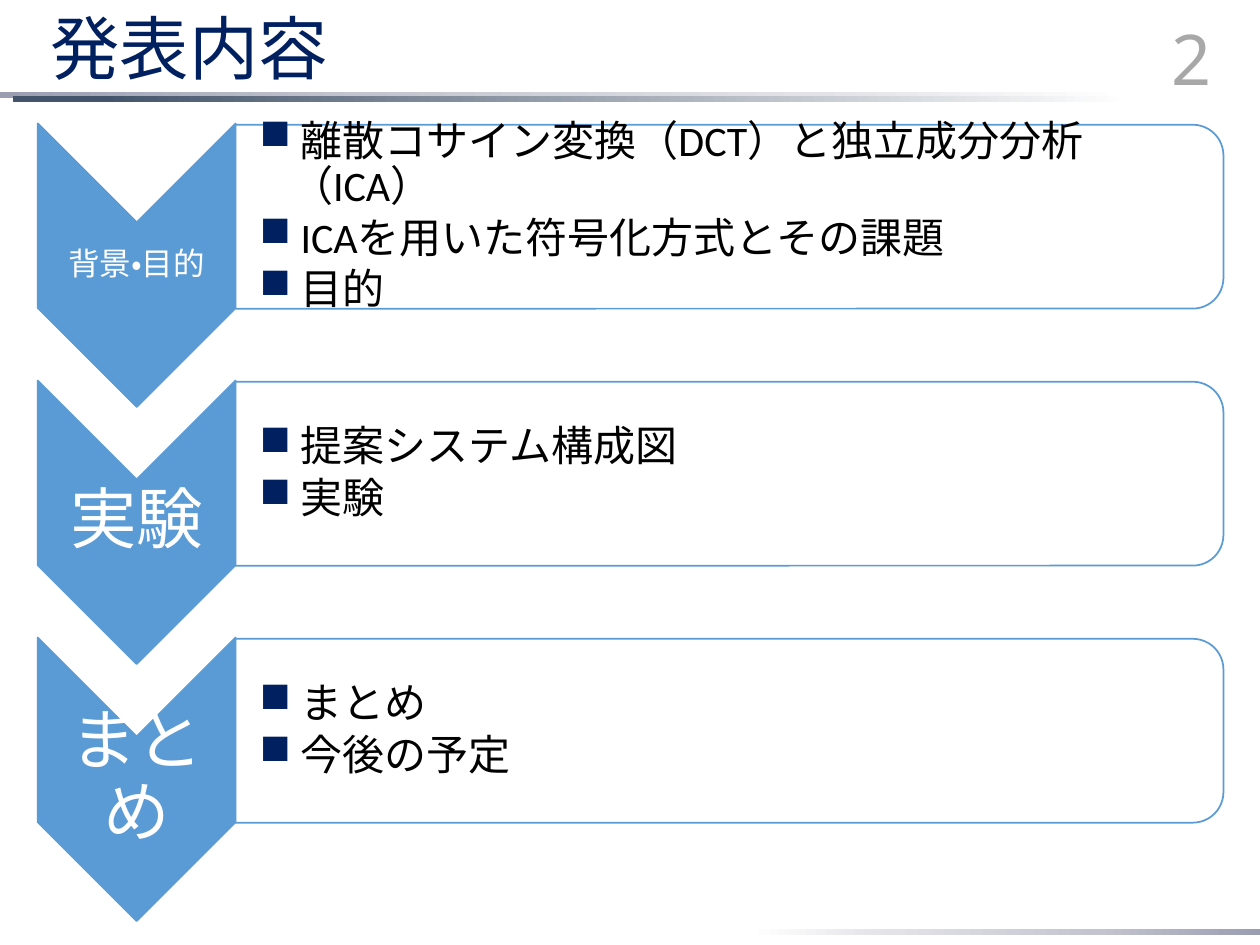
from dataclasses import dataclass

from pptx import Presentation
from pptx import util as u
from pptx.dml.color import RGBColor
from pptx.enum import lang, shapes, text
from pptx.oxml import parse_xml
from pptx.oxml.ns import nsdecls, qn

COLORS = {
    "navy": "002060", "blue": "5B9BD5", "white": "FFFFFF", "black": "000000",
    "gray": "8C8C8C", "slate": "44546A",
    "mist1": "9B9DB1", "mist2": "C3C4CF", "mist3": "E2E2E7",
}
MIST = [(0, "mist1"), (32, "mist2"), (72, "mist3"), (100, "white")]
SLATE = [(8, "slate"), (100, "white")]


@dataclass
class Bar:
    left: float
    top: float
    width: float
    stops: list
    rotation: int = 0


@dataclass
class Section:
    label: str
    size: float
    inset: float
    items: list


BARS = [
    Bar(5.95, 7.37, 4.05, MIST, 180),
    Bar(0, 0.73, 8.96, MIST),
    Bar(0.1, 0.76, 8.87, SLATE),
]
SECTIONS = [
    Section("背景・目的", 18, 0.01, [
        "離散コサイン変換（DCT）と独立成分分析（ICA）",
        "ICAを用いた符号化方式とその課題",
        "目的",
    ]),
    Section("実験", 38, 0.03, ["提案システム構成図", "実験"]),
    Section("まとめ", 38, 0.03, ["まとめ", "今後の予定"]),
]
LEFT, TOP, STEP = 0.3, 0.98, 2.04
CHEVRON_W, CHEVRON_H = 1.57, 2.25
PANEL_W, PANEL_H = 7.84, 1.46


def rgb(name: str) -> RGBColor:
    return RGBColor.from_string(COLORS[name])


def set_alpha(color_fill, percent: int) -> None:
    clr = color_fill.find(".//" + qn("a:srgbClr"))
    clr.append(parse_xml(f'<a:alpha {nsdecls("a")} val="{percent * 1000}"/>'))


def place(sp, left: float, top: float, width: float, height: float) -> None:
    box = {"left": left, "top": top, "width": width, "height": height}
    for name, value in box.items():
        setattr(sp, name, u.Inches(value))


def setup_frame(tf, insets: tuple = (0.1, 0.05, 0.1, 0.05)) -> None:
    sides = ("margin_left", "margin_top", "margin_right", "margin_bottom")
    fmt = {"word_wrap": True, "auto_size": text.MSO_AUTO_SIZE.NONE,
           "vertical_anchor": text.MSO_ANCHOR.MIDDLE}
    fmt.update(zip(sides, map(u.Inches, insets)))
    for name, value in fmt.items():
        setattr(tf, name, value)


def write(p, content: str, size: float, color: str, font: str = "Calibri",
          **para):
    for name, value in para.items():
        setattr(p, name, value)
    r = p.add_run()
    r.text = content
    fmt = {"name": font, "size": u.Pt(size),
           "language_id": lang.MSO_LANGUAGE_ID.JAPANESE}
    for name, value in fmt.items():
        setattr(r.font, name, value)
    r.font.color.rgb = rgb(color)
    return r


def add_text(s, left: float, top: float, width: float, height: float, insets):
    sp = s.shapes.add_textbox(*map(u.Inches, (left, top, width, height)))
    setup_frame(sp.text_frame, insets)
    return sp.text_frame


def add_bar(s, bar: Bar) -> None:
    sp = s.shapes.add_shape(shapes.MSO_SHAPE.RECTANGLE, 0, 0, 0, 0)
    place(sp, bar.left, bar.top, bar.width, 0.05)
    sp.rotation = bar.rotation
    sp.shadow.inherit = False
    sp.line.fill.background()
    stops = "".join(
        f'<a:gs pos="{pos * 1000}"><a:srgbClr val="{COLORS[c]}"/></a:gs>'
        for pos, c in bar.stops)
    geom = sp._element.spPr.find(qn("a:prstGeom"))
    geom.addnext(parse_xml(
        f'<a:gradFill {nsdecls("a")} rotWithShape="1"><a:gsLst>{stops}'
        '</a:gsLst><a:lin ang="0" scaled="0"/></a:gradFill>'))


def add_turned(s, kind, left: float, top: float, width: float, height: float,
               fill: str):
    """Add a shape turned a quarter, covering the given upright box."""
    sp = s.shapes.add_shape(kind, 0, 0, 0, 0)
    shift = (width - height) / 2
    place(sp, left + shift, top - shift, height, width)
    sp.rotation = 90
    sp.shadow.inherit = False
    sp.fill.solid()
    sp.fill.fore_color.rgb = rgb(fill)
    sp.line.color.rgb = rgb("blue")
    sp.line.width = u.Pt(1)
    return sp


def add_bullet(p) -> None:
    pPr = p._p.get_or_add_pPr()
    pPr.set("marL", str(u.Inches(0.25)))
    pPr.set("indent", str(-u.Inches(0.25)))
    for xml in (f'<a:buClr {nsdecls("a")}><a:srgbClr val="{COLORS["navy"]}"/></a:buClr>',
                f'<a:buChar {nsdecls("a")} char="■"/>'):
        pPr.append(parse_xml(xml))


def add_section(s, section: Section, top: float) -> None:
    # Chevron and its label
    add_turned(s, shapes.MSO_SHAPE.CHEVRON, LEFT, top, CHEVRON_W, CHEVRON_H, "blue")
    tf = add_text(s, LEFT, top + CHEVRON_W / 2, CHEVRON_W,
                  CHEVRON_H - CHEVRON_W, (section.inset,) * 4)
    write(tf.paragraphs[0], section.label, section.size, "white",
          alignment=text.PP_ALIGN.CENTER, line_spacing=0.9)

    # Panel and its bullets
    left = LEFT + CHEVRON_W
    panel = add_turned(s, shapes.MSO_SHAPE.ROUND_2_SAME_RECTANGLE, left,
                       top + 0.01, PANEL_W, PANEL_H, "white")
    set_alpha(panel._element.spPr.find(qn("a:solidFill")), 90)
    tf = add_text(s, left, top + 0.08, 7.77, 1.32, (0.19, 0.02, 0.02, 0.02))
    for i, item in enumerate(section.items):
        p = tf.add_paragraph() if i else tf.paragraphs[0]
        write(p, " " + item, 24, "black", level=1, line_spacing=0.9,
              space_after=u.Pt(3.6), alignment=text.PP_ALIGN.LEFT)
        add_bullet(p)


def main() -> None:
    prs = Presentation()
    prs.slide_width, prs.slide_height = u.Inches(10), u.Inches(7.5)
    s = prs.slides.add_slide(prs.slide_layouts[5])

    # Header and footer bars
    for bar in BARS:
        add_bar(s, bar)

    # Title
    title = s.shapes.title
    place(title, 0.3, 0.1, 8.66, 0.63)
    setup_frame(title.text_frame)
    write(title.text_frame.paragraphs[0], "発表内容", 39.6, "navy",
          "Noto Sans CJK JP", alignment=text.PP_ALIGN.LEFT, line_spacing=0.9)

    # Page number
    tf = add_text(s, 8.77, 0.1, 0.94, 0.71, (0.1, 0.05, 0.1, 0.05))
    r = write(tf.paragraphs[0], "2", 40, "gray", "Noto Sans",
              alignment=text.PP_ALIGN.RIGHT)
    set_alpha(r._r.rPr, 75)

    # Agenda sections
    for i, section in enumerate(SECTIONS):
        add_section(s, section, TOP + i * STEP)

    prs.save("out.pptx")


if __name__ == "__main__":
    main()
